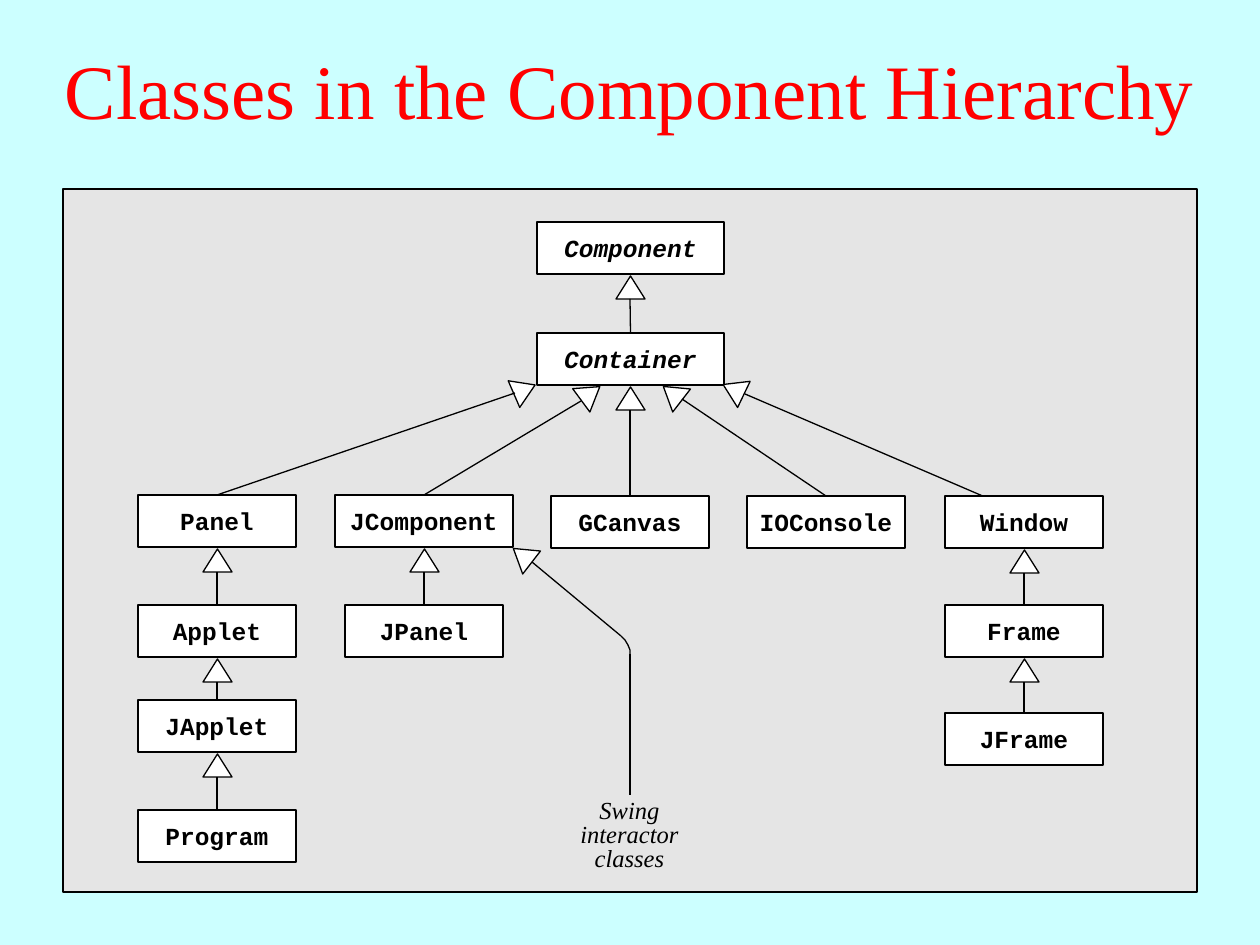
"""Build a slide showing the class hierarchy under Component."""
from lxml.etree import SubElement
from pptx import Presentation
from pptx.dml.color import RGBColor
from pptx.enum.shapes import MSO_CONNECTOR, MSO_SHAPE
from pptx.enum.text import MSO_ANCHOR, PP_ALIGN
from pptx.oxml.ns import qn
from pptx.util import Emu, Pt

PX = 914400 / 126
COLORS = {
    "sky": "CCFFFF",
    "title": "FF0000",
    "panel": "E5E5E5",
    "box": "FFFFFF",
    "ink": "000000",
}
COLORS = {role: RGBColor.from_string(value) for role, value in COLORS.items()}
BOX_HEIGHT = 52
HEAD_WIDTH, HEAD_HEIGHT = 29, 23
HEAD_GAP = 2

deck = Presentation()
deck.slide_width = Emu(round(1260 * PX))
deck.slide_height = Emu(round(945 * PX))
slide = deck.slides.add_slide(deck.slide_layouts[6])
slide.background.fill.solid()
slide.background.fill.fore_color.rgb = COLORS["sky"]


def add_outlined(kind, left, top, width, height, fill="box"):
    frame = [Emu(round(value * PX)) for value in (left, top, width, height)]
    outlined = slide.shapes.add_shape(kind, *frame)
    outlined.shadow.inherit = False
    outlined.fill.solid()
    outlined.fill.fore_color.rgb = COLORS[fill]
    outlined.line.color.rgb = COLORS["ink"]
    outlined.line.width = Pt(0.75)
    return outlined


def add_line(*ends):
    line = slide.shapes.add_connector(
        MSO_CONNECTOR.STRAIGHT, *[Emu(round(value * PX)) for value in ends]
    )
    line.line.color.rgb = COLORS["ink"]
    line.line.width = Pt(0.75)
    SubElement(line._element.spPr, qn("a:effectLst"))
    return line


captions = [
    (0, 10, 1260, 158, ["Classes in the Component Hierarchy"], 44, "title", False, 1.0),
    (530, 795, 199, 83, ["Swing", "interactor", "classes"], 14, "ink", True, 0.8),
]
add_outlined(MSO_SHAPE.RECTANGLE, 63, 189, 1134, 703, "panel")
for left, top, width, height, lines, size, color, italic, spacing in captions:
    caption = slide.shapes.add_textbox(
        *[Emu(round(value * PX)) for value in (left, top, width, height)]
    ).text_frame
    caption.word_wrap = True
    caption.vertical_anchor = MSO_ANCHOR.TOP if italic else MSO_ANCHOR.MIDDLE
    caption.text = "\n".join(lines)
    for paragraph in caption.paragraphs:
        paragraph.alignment = PP_ALIGN.CENTER
        paragraph.line_spacing = spacing
        for run in paragraph.runs:
            run.font.name = "Times New Roman"
            run.font.size = Pt(size)
            run.font.italic = italic
            run.font.color.rgb = COLORS[color]

add_line(1013, 509, 745, 394)

classes = {
    "Component": (537, 222, 187),
    "Container": (537, 333, 187),
    "Panel": (138, 495, 158),
    "JComponent": (335, 495, 178),
    "GCanvas": (551, 496, 158),
    "IOConsole": (747, 496, 158),
    "Window": (945, 496, 158),
    "Applet": (138, 605, 158),
    "JPanel": (345, 605, 158),
    "Frame": (945, 605, 158),
    "JApplet": (138, 700, 158),
    "JFrame": (945, 713, 158),
    "Program": (138, 810, 158),
}
boxes = {}
for name, (left, top, width) in classes.items():
    box = add_outlined(MSO_SHAPE.RECTANGLE, left, top, width, BOX_HEIGHT)
    box.text_frame.text = name
    box.text_frame.word_wrap = False
    box.text_frame.vertical_anchor = MSO_ANCHOR.MIDDLE
    label = box.text_frame.paragraphs[0]
    label.alignment = PP_ALIGN.CENTER
    label.runs[0].font.name = "Courier New"
    label.runs[0].font.size = Pt(14)
    label.runs[0].font.bold = True
    label.runs[0].font.italic = name in ("Component", "Container")
    label.runs[0].font.color.rgb = COLORS["ink"]
    boxes[name] = box

upright_links = [
    ("Container", "Component"),
    ("GCanvas", "Container"),
    ("Applet", "Panel"),
    ("JApplet", "Applet"),
    ("Program", "JApplet"),
    ("JPanel", "JComponent"),
    ("Frame", "Window"),
    ("JFrame", "Frame"),
]
for child, parent in upright_links:
    left, top, width = classes[parent]
    center = left + width // 2
    tip = top + BOX_HEIGHT + HEAD_GAP
    add_outlined(MSO_SHAPE.ISOSCELES_TRIANGLE, center - HEAD_WIDTH // 2, tip,
                 HEAD_WIDTH, HEAD_HEIGHT)
    link = add_line(center, classes[child][1], center, tip + HEAD_HEIGHT)
    link.begin_connect(boxes[child], 0)

slanted_heads = [
    (510, 378, 66.7),
    (576, 382, 53.6),
    (658, 382, 307.7),
    (719, 378, 295.6),
    (508, 544, 307.7),
]
for left, top, angle in slanted_heads:
    head = add_outlined(MSO_SHAPE.ISOSCELES_TRIANGLE, left, top, HEAD_WIDTH, HEAD_HEIGHT)
    head.rotation = angle

slanted_links = [("Panel", 515, 393), ("JComponent", 581, 401), ("IOConsole", 682, 399)]
for child, end_x, end_y in slanted_links:
    left, top, width = classes[child]
    link = add_line(left + width // 2, top, end_x, end_y)
    link.begin_connect(boxes[child], 0)

add_line(630, 654, 630, 795)
add_line(621, 636, 532, 562)
bend_points = [(621, 636), (625, 640), (628, 645), (630, 650), (630, 654)]
builder = slide.shapes.build_freeform(*bend_points[0], scale=PX)
builder.add_line_segments(bend_points[1:], close=False)
bend = builder.convert_to_shape()
bend.shadow.inherit = False
bend.fill.background()
bend.line.color.rgb = COLORS["ink"]
bend.line.width = Pt(0.75)

deck.save("out.pptx")
